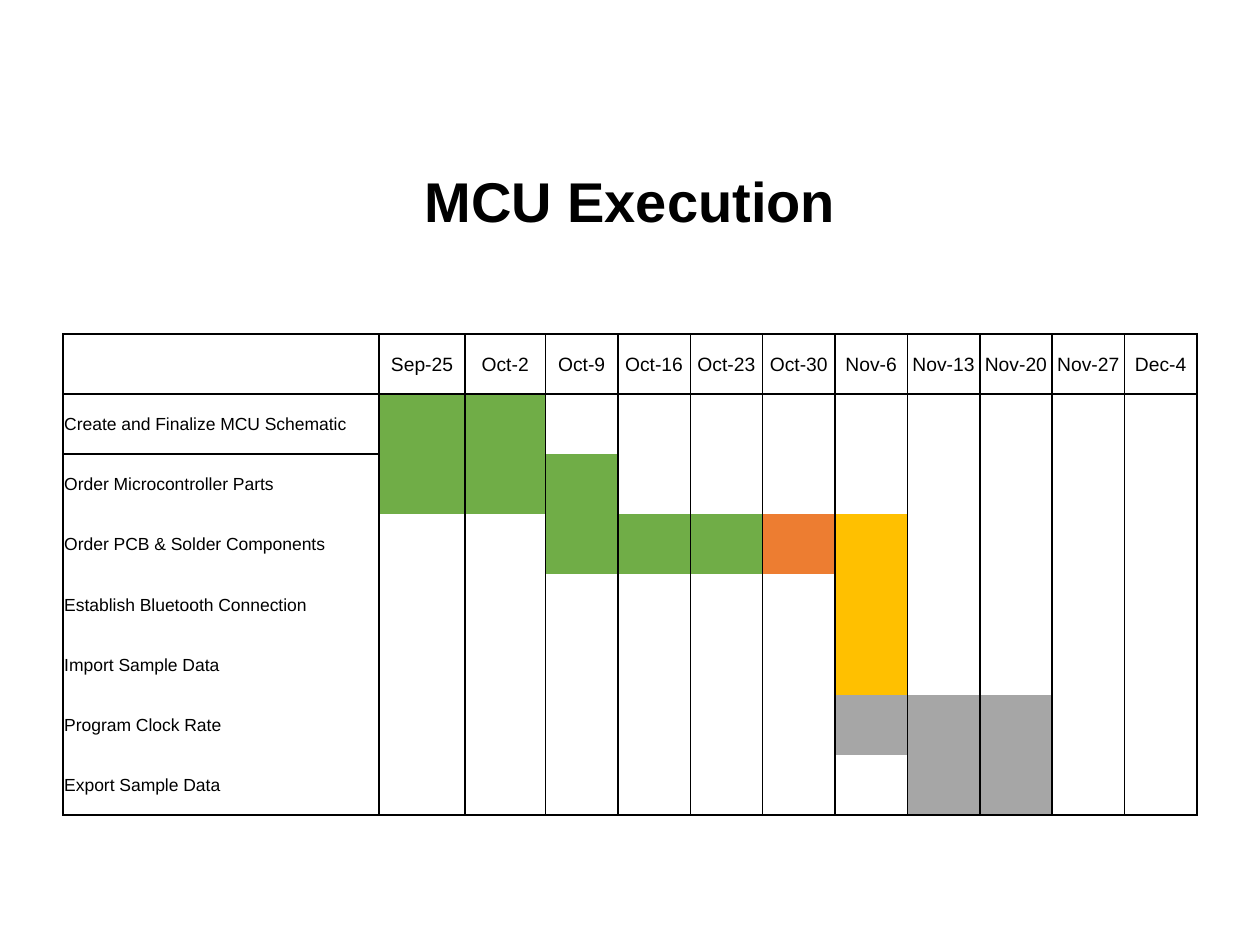
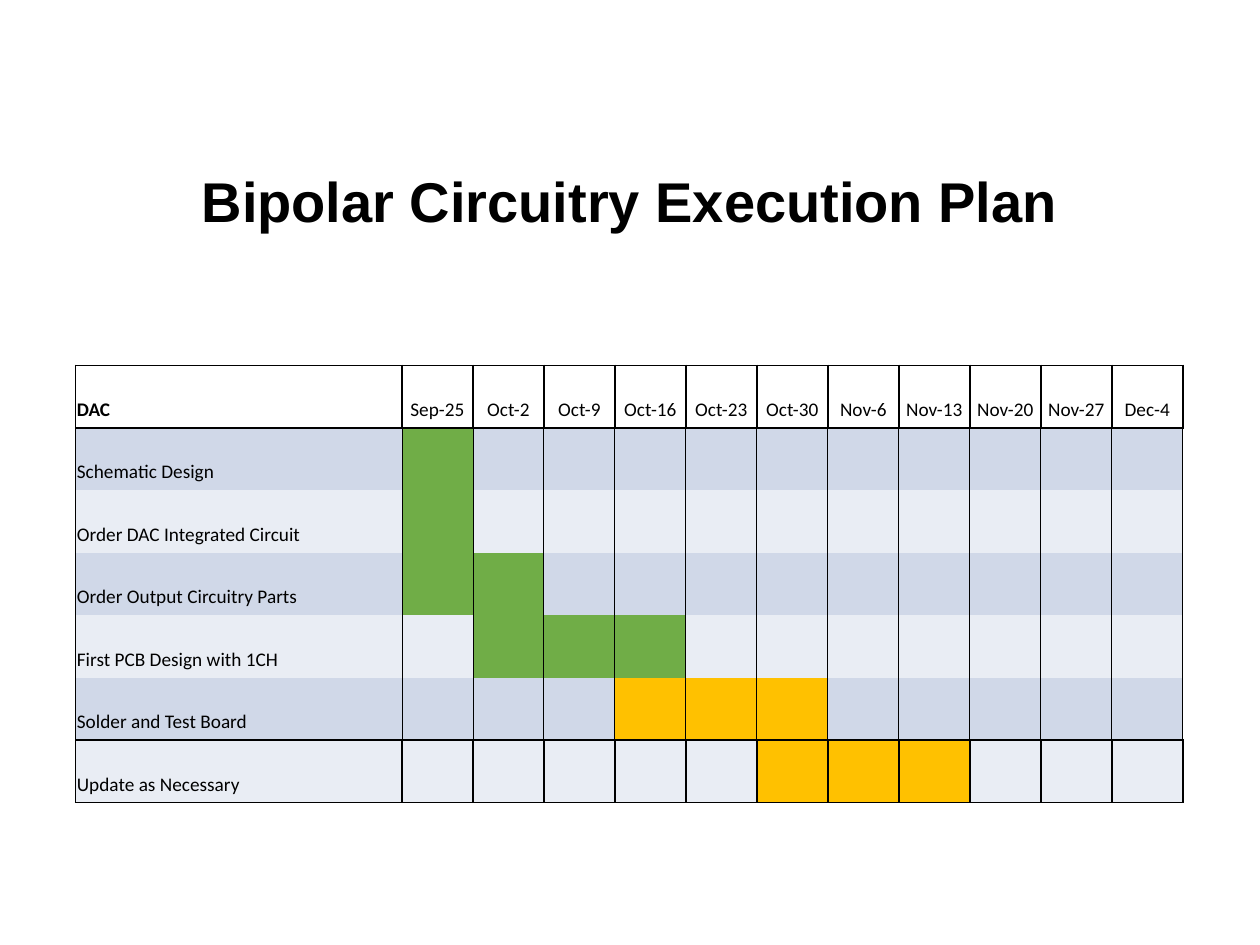
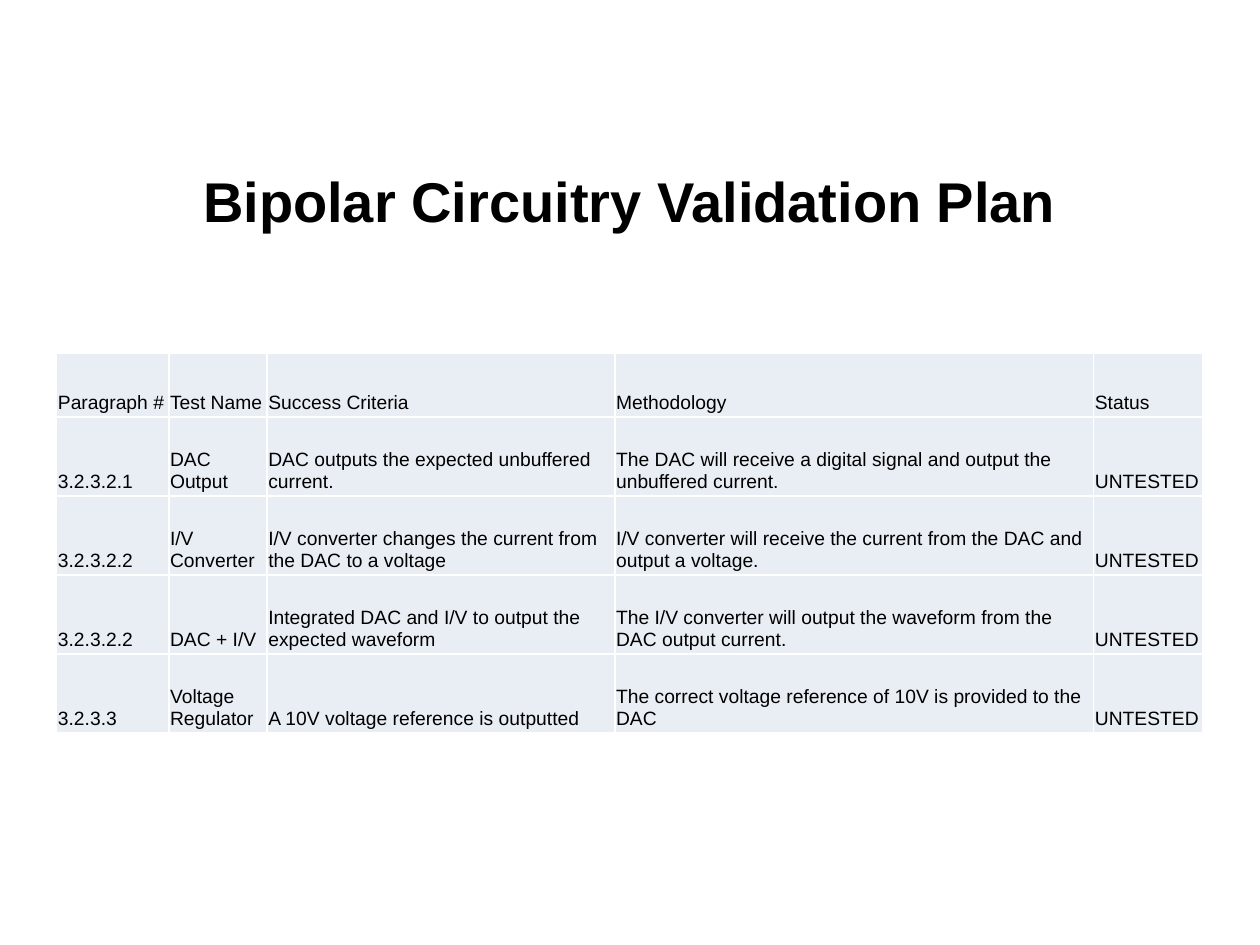
from dataclasses import dataclass

from lxml.etree import SubElement
from pptx import Presentation
from pptx.dml.color import RGBColor as Rgb
from pptx.enum.text import MSO_ANCHOR as Anchor, MSO_AUTO_SIZE as Fit, PP_ALIGN as Align
from pptx.oxml.ns import qn
from pptx.util import Pt

PX = 9144  # EMU in a px, 100 px to the inch

HUES = {
    "ink": "000000", "white": "FFFFFF",
    "done": "70AD47", "late": "ED7D31", "now": "FFC000", "next": "A6A6A6",
    "test": "FFC100", "dark": "D0D8E8", "pale": "E9EDF4",
}
CODES = {"D": "done", "L": "late", "N": "now", "X": "next", "T": "test"}
WEEKS = ["Sep-25", "Oct-2", "Oct-9", "Oct-16", "Oct-23", "Oct-30",
         "Nov-6", "Nov-13", "Nov-20", "Nov-27", "Dec-4"]
TITLE = {"left": 50, "top": 115, "width": 900, "height": 88}


@dataclass(frozen=True)
class Task:
    name: str
    bar: str  # one code a week, "." for a free week


@dataclass(frozen=True)
class Look:
    """Format of a grid: lines, bands and text."""
    box: tuple[int, int, int, int]
    cols: tuple[int, ...]        # leading widths; the rest share what is left
    tops: tuple[int, ...]        # leading heights; the rest share what is left
    rules: tuple[int, ...]       # row borders that carry a line
    bands: tuple[str, ...] = ()  # header fill, then the fills that alternate
    font: str = "Arial"
    size: int = 11
    line: str = "ink"
    inner: float = 1             # side lines between first and last row
    short: int = -1              # row border drawn in the first column only
    anchor: Anchor = Anchor.BOTTOM
    foot: int = 0                # space below the text


MCU = [
    Task("Create and Finalize MCU Schematic", "DD........."),
    Task("Order Microcontroller Parts", "DDD........"),
    Task("Order PCB & Solder Components", "..DDDLN...."),
    Task("Establish Bluetooth Connection", "......N...."),
    Task("Import Sample Data", "......N...."),
    Task("Program Clock Rate", "......XXX.."),
    Task("Export Sample Data", ".......XX.."),
]
DAC = [
    Task("Schematic Design", "D.........."),
    Task("Order DAC Integrated Circuit", "D.........."),
    Task("Order Output Circuitry Parts", "DD........."),
    Task("First PCB Design with 1CH", ".DDD......."),
    Task("Solder and Test Board", "...TTT....."),
    Task("Update as Necessary", ".....TTT..."),
]
TESTS = [
    ["Paragraph #", "Test Name", "Success Criteria", "Methodology", "Status"],
    ["3.2.3.2.1", "DAC Output", "DAC outputs the expected unbuffered current.",
     "The DAC will receive a digital signal and output the unbuffered current.",
     "UNTESTED"],
    ["3.2.3.2.2", "I/V Converter",
     "I/V converter changes the current from the DAC to a voltage",
     "I/V converter will receive the current from the DAC and output a voltage.",
     "UNTESTED"],
    ["3.2.3.2.2", "DAC + I/V",
     "Integrated DAC and I/V to output the expected waveform",
     "The I/V converter will output the waveform from the DAC output current.",
     "UNTESTED"],
    ["3.2.3.3", "Voltage Regulator", "A 10V voltage reference is outputted",
     "The correct voltage reference of 10V is provided to the DAC", "UNTESTED"],
]

MCU_LOOK = Look((50, 265, 900, 382), (251, 68, 64), (), (0, 1, 8),
                short=2, anchor=Anchor.MIDDLE)
DAC_LOOK = Look((60, 290, 879, 347), (259,), (), (0, 1, 6, 7),
                ("white", "dark", "pale"), font="Calibri", inner=0.5, foot=5)
TEST_LOOK = Look((45, 280, 910, 302), (89, 78, 276, 380), (51,), tuple(range(6)),
                 ("pale", "pale", "pale"), line="white", foot=3)


def put(item: object, vals: dict) -> None:
    """Set each attribute named in vals."""
    for key, val in vals.items():
        setattr(item, key, val)


def share(total: int, lead: tuple[int, ...], count: int) -> list[int]:
    """Sizes in EMU: the leading ones as given, the others equal."""
    rest = (total - sum(lead)) * PX // (count - len(lead))
    return [px * PX for px in lead] + [rest] * (count - len(lead))


def write(para, text: str, font: str, size: int, align: Align,
          bold: bool = False) -> None:
    run = para.add_run()
    run.text = text
    para.alignment = align
    put(run.font, {"name": font, "size": Pt(size), "bold": bold})
    run.font.color.rgb = Rgb.from_string(HUES["ink"])


def edge(cell, sides: dict[str, float], hue: str) -> None:
    """Draw the four sides of a cell; width 0 leaves a side off."""
    props = cell._tc.get_or_add_tcPr()
    for i, side in enumerate("LRTB"):
        wide = sides[side]
        line = SubElement(props, qn(f"a:ln{side}"), w=str(int(Pt(wide))))
        props.insert(i, line)
        if wide:
            fill = SubElement(line, qn("a:solidFill"))
            SubElement(fill, qn("a:srgbClr"), val=HUES[hue])
        else:
            SubElement(line, qn("a:noFill"))


def paint(cell, hue: str) -> None:
    if hue:
        cell.fill.solid()
        cell.fill.fore_color.rgb = Rgb.from_string(HUES[hue])
    else:
        cell.fill.background()


def band(look: Look, row: int) -> str:
    if not look.bands:
        return ""
    return look.bands[0 if row == 0 else 2 - row % 2]


def start(deck, title: str):
    """Add a slide with its title."""
    slide = deck.slides.add_slide(deck.slide_layouts[5])
    head = slide.shapes.title
    put(head, {key: px * PX for key, px in TITLE.items()})
    put(head.text_frame, {"vertical_anchor": Anchor.MIDDLE, "word_wrap": True,
                          "auto_size": Fit.NONE})
    write(head.text_frame.paragraphs[0], title, "Arial", 32, Align.CENTER, True)
    return slide


def grid(slide, rows: int, cols: int, look: Look):
    """Add a table with its sizes, lines and bands."""
    box = [px * PX for px in look.box]
    table = slide.shapes.add_table(rows, cols, *box).table
    put(table, {"first_row": False, "horz_banding": False})
    for col, wide in zip(table.columns, share(look.box[2], look.cols, cols)):
        col.width = wide
    for row, high in zip(table.rows, share(look.box[3], look.tops, rows)):
        row.height = high
    pads = {"margin_left": PX, "margin_top": PX, "margin_right": PX,
            "margin_bottom": look.foot * PX, "vertical_anchor": look.anchor}
    for r in range(rows):
        side = 1 if r in (0, rows - 1) else look.inner
        for c in range(cols):
            lines = look.rules + ((look.short,) if c == 0 else ())
            cell = table.cell(r, c)
            put(cell, pads)
            paint(cell, band(look, r))
            edge(cell, {"L": side, "R": side, "T": int(r in lines),
                        "B": int(r + 1 in lines)}, look.line)
    return table


def plan(deck, title: str, name: str, tasks: list[Task], look: Look,
         size: int) -> None:
    """Add a slide with a week chart of tasks."""
    table = grid(start(deck, title), len(tasks) + 1, len(WEEKS) + 1, look)
    if name:
        write(table.cell(0, 0).text_frame.paragraphs[0], name, look.font,
              look.size, Align.LEFT, True)
    for c, week in enumerate(WEEKS, 1):
        write(table.cell(0, c).text_frame.paragraphs[0], week, look.font,
              look.size, Align.CENTER)
    for r, task in enumerate(tasks, 1):
        write(table.cell(r, 0).text_frame.paragraphs[0], task.name, look.font,
              size, Align.LEFT)
        for c, code in enumerate(task.bar, 1):
            if code in CODES:
                paint(table.cell(r, c), CODES[code])


def checks(deck, title: str, rows: list[list[str]], look: Look) -> None:
    """Add a slide with a table of tests."""
    table = grid(start(deck, title), len(rows), len(rows[0]), look)
    for r, row in enumerate(rows):
        for c, text in enumerate(row):
            write(table.cell(r, c).text_frame.paragraphs[0], text, look.font,
                  look.size, Align.LEFT)


def main() -> None:
    deck = Presentation()
    put(deck, {"slide_width": 1000 * PX, "slide_height": 750 * PX})
    plan(deck, "MCU Execution", "", MCU, MCU_LOOK, 10)
    plan(deck, "Bipolar Circuitry Execution Plan", "DAC", DAC, DAC_LOOK, 11)
    checks(deck, "Bipolar Circuitry Validation Plan", TESTS, TEST_LOOK)
    deck.save("out.pptx")


if __name__ == "__main__":
    main()
